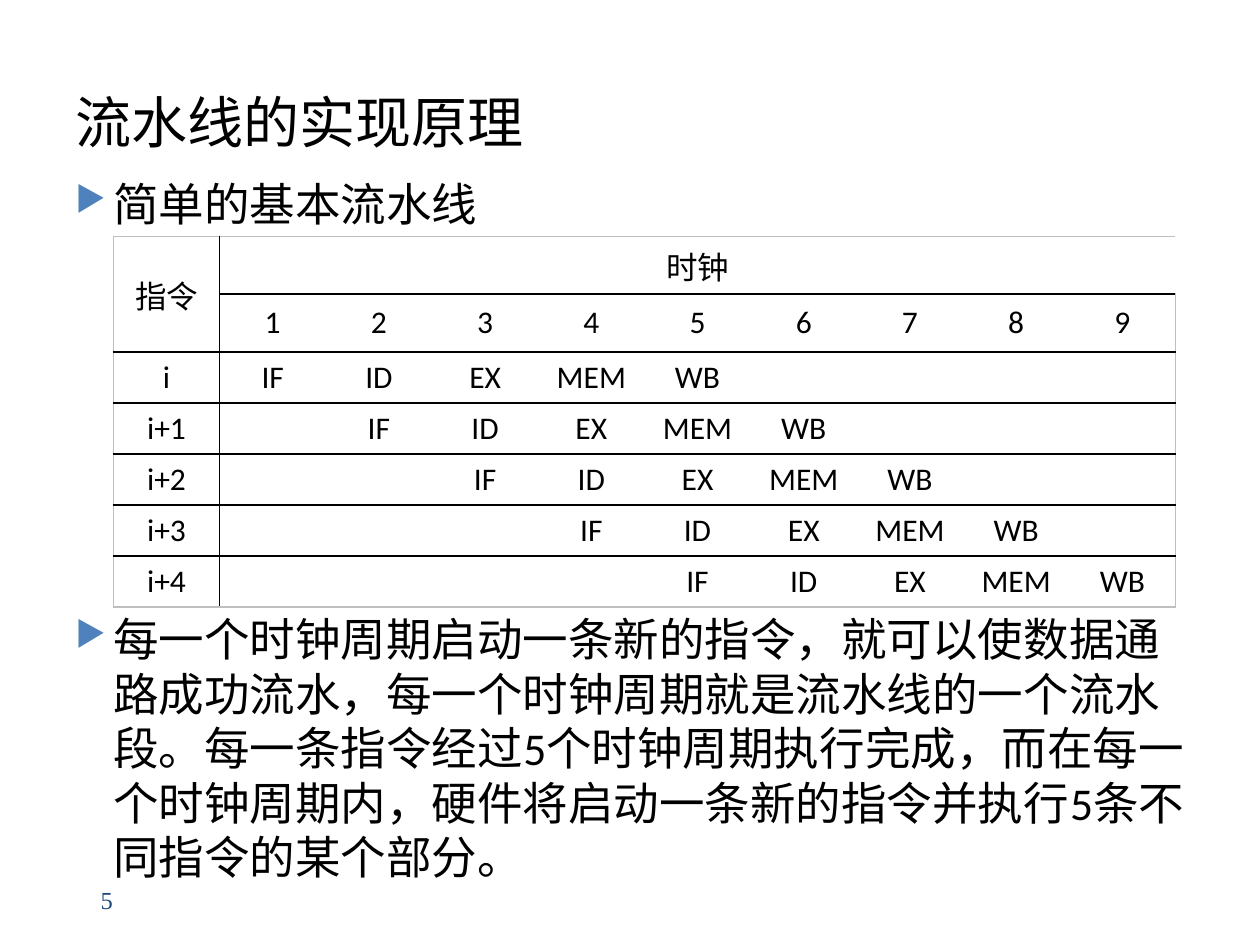
from dataclasses import dataclass

from lxml import etree
from pptx import Presentation
from pptx import util as u
from pptx.dml.color import RGBColor
from pptx.enum import lang, text
from pptx.oxml.ns import qn

BLACK = RGBColor(0x00, 0x00, 0x00)
GREY = RGBColor(0xBF, 0xBF, 0xBF)
BLUE = RGBColor(0x4F, 0x81, 0xBD)
NAVY = RGBColor(0x1F, 0x49, 0x7D)
WIDE, HIGH = u.Inches(10), u.Inches(7.5)
STAGES = ["IF", "ID", "EX", "MEM", "WB"]
CLOCKS, JOBS, HEADS = 9, 5, 2
COLS, ROWS = CLOCKS + 1, JOBS + HEADS


@dataclass
class Box:
    """A place on the slide, in shares of its width and height."""
    x: float
    y: float
    w: float
    h: float

    def place(self) -> tuple:
        return (int(self.x * WIDE), int(self.y * HIGH),
                int(self.w * WIDE), int(self.h * HIGH))


@dataclass
class Point:
    """A bulleted paragraph and its place."""
    words: str
    box: Box


TITLE = Box(0.05, 0.02, 0.9, 0.15)
GRID = Box(0.09, 0.25, 0.84, 0.4)
PAGE = Box(0.07, 0.93, 0.22, 0.05)
POINTS = [
    Point("简单的基本流水线", Box(0.05, 0.18, 0.9, 0.07)),
    Point("每一个时钟周期启动一条新的指令，就可以使数据通路成功流水，"
          "每一个时钟周期就是流水线的一个流水段。每一条指令经过5个时钟周期执行完成，"
          "而在每一个时钟周期内，硬件将启动一条新的指令并执行5条不同指令的某个部分。",
          Box(0.05, 0.64, 0.9, 0.3)),
]


def add(parent, tag: str, **attrs: str):
    return etree.SubElement(parent, qn(tag), attrs)


def bullet(para) -> None:
    props = para._p.get_or_add_pPr()
    props.set("marL", str(u.Inches(0.3)))
    props.set("indent", str(-u.Inches(0.3)))
    add(add(props, "a:buClr"), "a:srgbClr", val=str(BLUE))
    add(props, "a:buSzPct", val="76000")
    add(props, "a:buChar", char="▶")


def write(frame, words: str, *, size: float, color=BLACK, face="Calibri",
          align=text.PP_ALIGN.LEFT, mark=False) -> None:
    frame.word_wrap = True
    para = frame.paragraphs[0]
    if mark:
        bullet(para)
    para.alignment = align
    run = para.add_run()
    run.text = words
    font = run.font
    font.size, font.name, font.color.rgb = u.Pt(size), face, color
    font.language_id = lang.MSO_LANGUAGE_ID.SIMPLIFIED_CHINESE


def rule(cell, side: str, color) -> None:
    line = add(cell._tc.get_or_add_tcPr(), f"a:ln{side}", w=str(u.Pt(1)))
    if color is None:
        add(line, "a:noFill")
    else:
        add(add(line, "a:solidFill"), "a:srgbClr", val=str(color))


def upright(edge: int):
    """Colour of the vertical rule at a column edge."""
    return {0: GREY, 1: BLACK, COLS: GREY}.get(edge)


def level(edge: int, col: int):
    """Colour of the horizontal rule at a row edge."""
    if edge in (0, ROWS):
        return GREY
    return None if edge == 1 and col == 0 else BLACK


def label(row: int, col: int) -> str:
    if row == 0:
        return {0: "指令", 1: "时钟"}.get(col, "")
    if row == 1:
        return str(col) if col else ""
    job = row - HEADS
    if col == 0:
        return f"i+{job}" if job else "i"
    step = col - 1 - job
    return STAGES[step] if 0 <= step < len(STAGES) else ""


def chart(slide, box: Box) -> None:
    table = slide.shapes.add_table(ROWS, COLS, *box.place()).table
    table.first_row = table.horz_banding = False
    for col in table.columns:
        col.width = u.Inches(0.843)
    for num, row in enumerate(table.rows):
        row.height = u.Inches(0.46 if num < HEADS else 0.405)
    table.cell(0, 0).merge(table.cell(1, 0))
    table.cell(0, 1).merge(table.cell(0, CLOCKS))
    for row in range(ROWS):
        for col in range(COLS):
            cell = table.cell(row, col)
            rule(cell, "L", upright(col))
            rule(cell, "R", upright(col + 1))
            rule(cell, "T", level(row, col))
            rule(cell, "B", level(row + 1, col))
            cell.fill.background()
            cell.vertical_anchor = text.MSO_ANCHOR.MIDDLE
            words = label(row, col)
            if words:
                write(cell.text_frame, words, size=18, align=text.PP_ALIGN.CENTER)


def note(slide, words: str, box: Box, **style) -> None:
    write(slide.shapes.add_textbox(*box.place()).text_frame, words, **style)


def main() -> None:
    deck = Presentation()
    deck.slide_width, deck.slide_height = WIDE, HIGH
    slide = deck.slides.add_slide(deck.slide_layouts[5])

    # Title
    title = slide.shapes.title
    title.left, title.top, title.width, title.height = TITLE.place()
    title.text_frame.vertical_anchor = text.MSO_ANCHOR.BOTTOM
    write(title.text_frame, "流水线的实现原理", size=32)

    # Points above and below the pipeline table
    for point in POINTS:
        note(slide, point.words, point.box, size=26, mark=True)
    chart(slide, GRID)

    # Page number
    note(slide, "5", PAGE, size=14, color=NAVY, face="Times New Roman")
    deck.save("out.pptx")


if __name__ == "__main__":
    main()
